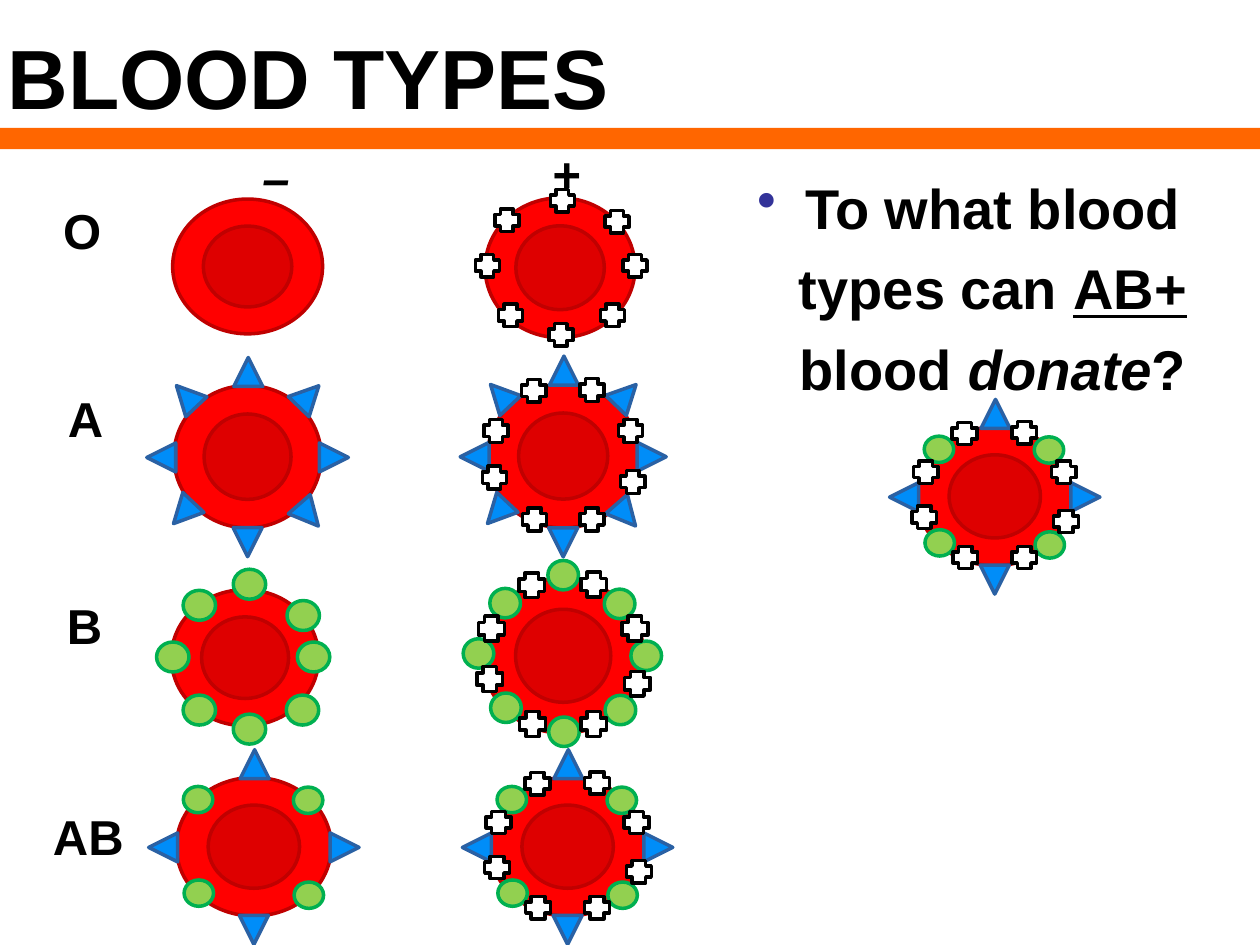
"""Build the blood types slide with its grid of cells and donor question."""
from dataclasses import dataclass
from typing import Any, NamedTuple

from lxml import etree
from pptx import Presentation
from pptx.dml.color import RGBColor
from pptx.enum import shapes, text
from pptx.oxml import ns
from pptx.util import Inches, Pt

COLORS = {
    "black": "000000", "white": "FFFFFF", "orange": "FF6600", "bullet": "333399",
    "red": "FF0000", "dark_red": "C00000", "blue": "008DF8", "navy": "2A61A4",
    "green": "92D050", "dark_green": "00B050",
}
SHAPE = shapes.MSO_SHAPE
ALIGN = text.PP_ALIGN


class Spot(NamedTuple):
    """Centre of a marker in half-widths and half-heights of its cell."""
    x: float
    y: float
    turn: float = 0


@dataclass(frozen=True)
class Marker:
    """Look of a surface marker, sized as a share of its cell."""
    kind: Any
    fill: str
    line: str
    size: float


@dataclass(frozen=True)
class Cell:
    """A blood cell with layers of markers around it."""
    left: float
    top: float
    width: float
    height: float
    layers: tuple = ()


@dataclass(frozen=True)
class Label:
    """A text box with one paragraph of formatted spans."""
    left: float
    top: float
    width: float
    height: float
    spans: tuple
    size: int = 28
    align: Any = ALIGN.CENTER
    spacing: float = 1.2
    bullet: bool = False
    frame: tuple = ()


A_MARK = Marker(SHAPE.ISOSCELES_TRIANGLE, "blue", "navy", 0.19)
B_MARK = Marker(SHAPE.OVAL, "green", "dark_green", 0.19)
LARGE_B_MARK = Marker(SHAPE.OVAL, "green", "dark_green", 0.22)
RH_MARK = Marker(SHAPE.CROSS, "white", "black", 0.16)

A_SIDES = (Spot(0.01, -1.19), Spot(-1.17, 0.01, 270), Spot(1.17, 0.01, 90), Spot(0, 1.2, 180))
A_CORNERS = (Spot(-0.83, -0.85, 316.7), Spot(-0.87, 0.79, 223.2),
             Spot(0.83, 0.82, 138.9), Spot(0.83, -0.85, 44))
B_CORNERS = (Spot(-0.72, -0.68), Spot(0.7, -0.67), Spot(-0.71, 0.67), Spot(0.71, 0.7))
B_SIDES = (Spot(0.01, 0.98), Spot(-1.05, -0.03), Spot(0, -1.04), Spot(1.03, 0))
B_RING = (Spot(0.06, -1.08), Spot(0.93, -0.01), Spot(-0.98, -0.01), Spot(0.06, 1.05),
          Spot(0.79, -0.62), Spot(-0.62, -0.77), Spot(-0.62, 0.77), Spot(0.78, 0.77))
RH_BETWEEN = (Spot(-0.39, -0.91), Spot(0.38, -0.92), Spot(0.92, 0.36), Spot(-0.38, 0.88),
              Spot(-0.89, -0.35), Spot(-0.91, 0.3), Spot(0.89, -0.35), Spot(0.38, 0.88))
RH_RING = (Spot(0.03, -0.96), Spot(-0.97, -0.03), Spot(-0.71, -0.68), Spot(0.76, -0.66),
           Spot(0.01, 0.96), Spot(1, -0.03), Spot(0.7, 0.68), Spot(-0.66, 0.68))

A_LAYERS = ((A_MARK, A_SIDES + A_CORNERS),)
AB_LAYERS = ((A_MARK, A_SIDES), (B_MARK, B_CORNERS))
RH_LAYERS = ((RH_MARK, RH_BETWEEN),)

CELLS = (
    Cell(1.37, 1.58, 1.19, 1.07),
    Cell(3.85, 1.57, 1.19, 1.11, ((RH_MARK, RH_RING),)),
    Cell(1.38, 3.06, 1.17, 1.13, A_LAYERS),
    Cell(3.87, 3.05, 1.2, 1.14, A_LAYERS + RH_LAYERS),
    Cell(1.36, 4.68, 1.17, 1.08, ((LARGE_B_MARK, B_RING),)),
    Cell(3.83, 4.59, 1.28, 1.23, ((B_MARK, B_CORNERS + B_SIDES),) + RH_LAYERS),
    Cell(1.4, 6.17, 1.23, 1.1, AB_LAYERS),
    Cell(3.89, 6.17, 1.23, 1.1, AB_LAYERS + RH_LAYERS),
    Cell(7.28, 3.39, 1.23, 1.1, AB_LAYERS + RH_LAYERS),
)

HEADINGS = (
    ("– ", 1.74, 1.03, {"italic": True}),
    ("+ ", 4.04, 1, {"italic": True}),
    ("O ", 0.2, 1.45, {}),
    ("A ", 0.22, 2.94, {}),
    ("B ", 0.22, 4.58, {}),
    ("AB ", 0.25, 6.26, {}),
)
TITLE = Label(0, 0.25, 9, 0.77, (("BLOOD TYPES", {}),), 48, ALIGN.LEFT, 0.9, frame=(
    ("vertical_anchor", text.MSO_ANCHOR.BOTTOM),
    ("margin_left", Inches(0.06)), ("margin_bottom", Inches(0.01))))
QUESTION = Label(5.38, 1.22, 4.62, 3.26, (
    ("To what blood types can ", {}), ("AB+", {"underline": True}), (" blood ", {}),
    ("donate", {"italic": True}), ("?", {})), 32, bullet=True)


def set_values(target: Any, values: dict) -> None:
    """Set each named attribute on the target."""
    for name, value in values.items():
        setattr(target, name, value)


def draw_shape(parent: Any, kind: Any, center: tuple[float, float], size: tuple[float, float],
               fill: str, line: str | None = None, turn: float = 0) -> Any:
    """Draw a filled preset shape around its centre."""
    width, height = size
    shape = parent.add_shape(kind, Inches(center[0] - width / 2), Inches(center[1] - height / 2),
                             Inches(width), Inches(height))
    shape.shadow.inherit = False
    shape.rotation = turn
    shape.fill.solid()
    shape.fill.fore_color.rgb = RGBColor.from_string(COLORS[fill])
    if line:
        shape.line.color.rgb = RGBColor.from_string(COLORS[line])
        shape.line.width = Pt(2)
    else:
        shape.line.fill.background()
    return shape


def draw_cell(page: Any, cell: Cell) -> None:
    """Draw a cell, its centre and its markers as one group."""
    group = page.shapes.add_group_shape().shapes
    half_width, half_height = cell.width / 2, cell.height / 2
    x, y = cell.left + half_width, cell.top + half_height
    draw_shape(group, SHAPE.OVAL, (x, y), (cell.width, cell.height), "red", "dark_red")
    core = draw_shape(group, SHAPE.OVAL, (x, y), (cell.width * 0.59, cell.height * 0.6),
                      "dark_red", "dark_red")
    tint = core.fill._xPr.find(ns.qn("a:solidFill"))[0]
    etree.SubElement(tint, ns.qn("a:alpha"), val="52000")
    for marker, spots in cell.layers:
        size = (cell.width * marker.size, cell.height * marker.size)
        if marker is A_MARK:
            size = (0.23, 0.23)
        for spot in spots:
            center = (x + spot.x * half_width, y + spot.y * half_height)
            draw_shape(group, marker.kind, center, size, marker.fill, marker.line, spot.turn)


def add_bullet(para: Any) -> None:
    """Give the paragraph a coloured bullet and hanging indent."""
    props = para._p.get_or_add_pPr()
    props.set("marL", str(Inches(0.38)))
    props.set("indent", str(Inches(-0.38)))
    color = etree.SubElement(props, ns.qn("a:buClr"))
    etree.SubElement(color, ns.qn("a:srgbClr"), val=COLORS["bullet"])
    etree.SubElement(props, ns.qn("a:buChar"), char="•")


def draw_label(page: Any, label: Label) -> None:
    """Draw a text box with its formatted spans."""
    box = page.shapes.add_textbox(Inches(label.left), Inches(label.top),
                                  Inches(label.width), Inches(label.height))
    set_values(box.text_frame, {"word_wrap": True, **dict(label.frame)})
    para = box.text_frame.paragraphs[0]
    set_values(para, {"alignment": label.align, "line_spacing": label.spacing})
    if label.bullet:
        add_bullet(para)
    for wording, extra in label.spans:
        span = para.add_run()
        span.text = wording
        set_values(span.font, {"name": "Arial", "size": Pt(label.size), "bold": True, **extra})
        span.font.color.rgb = RGBColor.from_string(COLORS["black"])


def main() -> None:
    """Build and save the deck."""
    deck = Presentation()
    set_values(deck, {"slide_width": Inches(10), "slide_height": Inches(7.5)})
    page = deck.slides.add_slide(deck.slide_layouts[6])
    for cell in CELLS:
        draw_cell(page, cell)
    for wording, left, top, extra in HEADINGS:
        draw_label(page, Label(left, top, 1.01, 0.72, ((wording, extra),)))
    draw_shape(page.shapes, SHAPE.RECTANGLE, (5, 1.1), (10, 0.17), "orange")
    for label in (TITLE, QUESTION):
        draw_label(page, label)
    deck.save("out.pptx")


if __name__ == "__main__":
    main()
